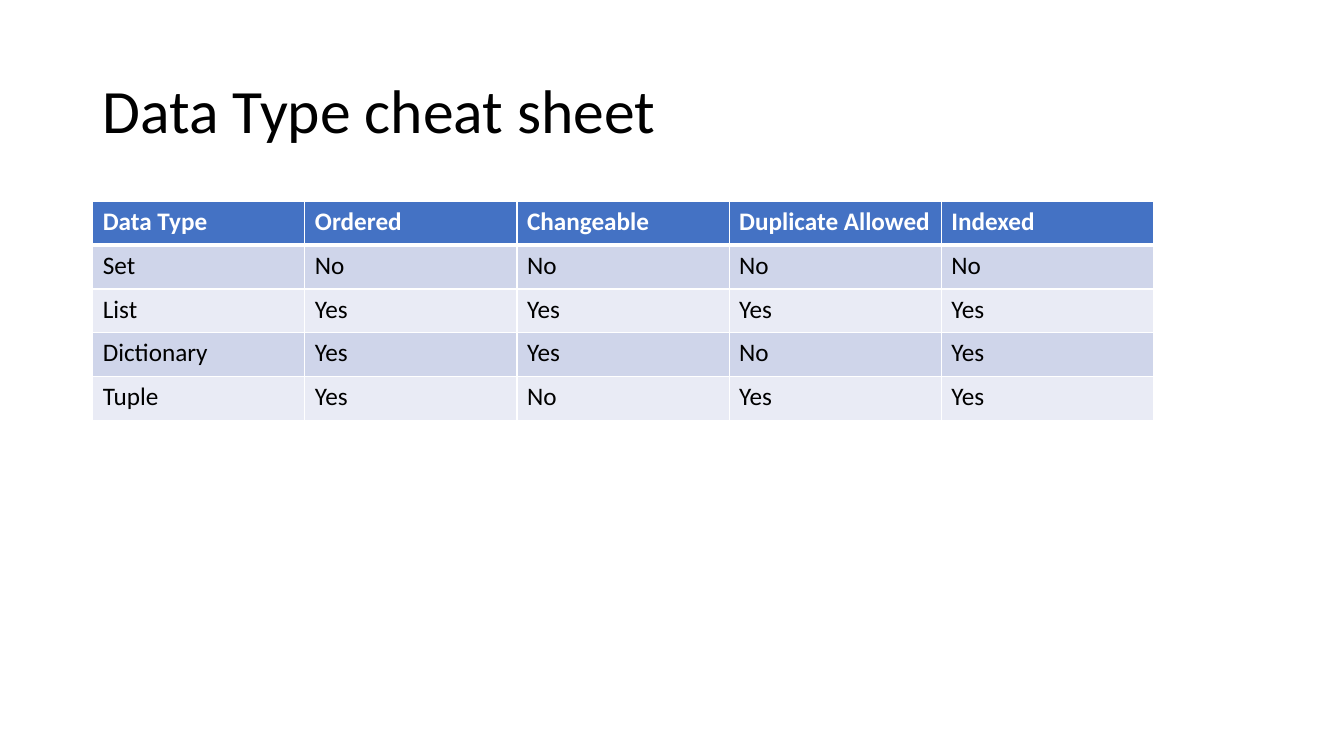
from dataclasses import dataclass

from lxml import etree
from pptx import Presentation
from pptx.dml.color import RGBColor
from pptx.enum.text import MSO_ANCHOR
from pptx.oxml.ns import qn
from pptx.util import Inches, Pt

MIDDLE = MSO_ANCHOR.MIDDLE


@dataclass(frozen=True)
class Theme:
    font: str = "Calibri"
    title_size: int = 44
    table_size: int = 18
    text: str = "000000"
    header_text: str = "FFFFFF"
    header_fill: str = "4472C4"
    band_fills: tuple = ("CFD5EA", "E9EBF5")
    border: str = "FFFFFF"
    thin_border: int = 1
    thick_border: int = 3


theme = Theme()


def add_run(paragraph, text, size, color, bold=False):
    run = paragraph.add_run()
    run.text = text
    run.font.name = theme.font
    run.font.size = Pt(size)
    run.font.bold = bold
    run.font.color.rgb = RGBColor.from_string(color)


def add_border(cell, side, width):
    properties = cell._tc.get_or_add_tcPr()
    line = etree.SubElement(properties, qn(f"a:ln{side}"), w=str(Pt(width)))
    fill = etree.SubElement(line, qn("a:solidFill"))
    etree.SubElement(fill, qn("a:srgbClr"), val=theme.border)


presentation = Presentation()
presentation.slide_width = Inches(13.33)
presentation.slide_height = Inches(7.5)
slide = presentation.slides.add_slide(presentation.slide_layouts[6])

# Title
title = slide.shapes.add_textbox(Inches(0.92), Inches(0.4), Inches(11.5), Inches(1.45))
title.text_frame.word_wrap = True
title.text_frame.vertical_anchor = MIDDLE
title_paragraph = title.text_frame.paragraphs[0]
title_paragraph.line_spacing = 0.9
add_run(title_paragraph, "Data Type cheat sheet", theme.title_size, theme.text)

# Table of data types
rows = [
    ("Data Type", "Ordered", "Changeable", "Duplicate Allowed", "Indexed"),
    ("Set", "No", "No", "No", "No"),
    ("List", "Yes", "Yes", "Yes", "Yes"),
    ("Dictionary", "Yes", "Yes", "No", "Yes"),
    ("Tuple", "Yes", "No", "Yes", "Yes"),
]
table = slide.shapes.add_table(
    len(rows), len(rows[0]), Inches(0.92), Inches(2), Inches(10.52), Inches(2.17)
).table

for row_index, row in enumerate(rows):
    is_header = row_index == 0
    fill_color = theme.header_fill if is_header else theme.band_fills[(row_index - 1) % 2]
    text_color = theme.header_text if is_header else theme.text
    # The thick rule lies between the header and the first body row
    border_widths = {
        "L": theme.thin_border,
        "R": theme.thin_border,
        "T": theme.thick_border if row_index == 1 else theme.thin_border,
        "B": theme.thick_border if is_header else theme.thin_border,
    }
    for column_index, text in enumerate(row):
        cell = table.cell(row_index, column_index)
        for side, width in border_widths.items():
            add_border(cell, side, width)
        cell.fill.solid()
        cell.fill.fore_color.rgb = RGBColor.from_string(fill_color)
        add_run(cell.text_frame.paragraphs[0], text, theme.table_size, text_color, is_header)

presentation.save("out.pptx")
